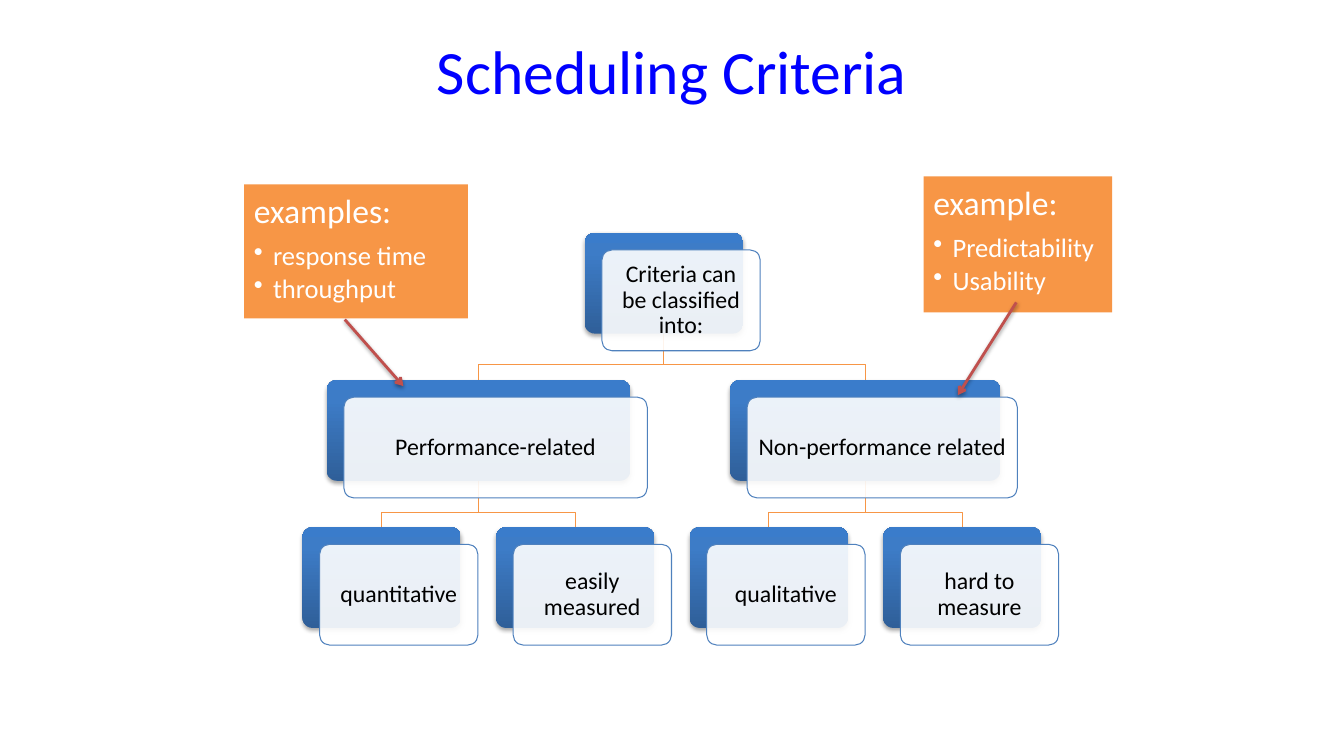
from copy import deepcopy

from lxml import etree
from pptx import Presentation
from pptx.dml.color import RGBColor
from pptx.enum import shapes, text
from pptx.oxml.ns import qn
from pptx.util import Inches, Pt

BLUE = RGBColor(0x00, 0x00, 0xFF)
BLACK = RGBColor(0x00, 0x00, 0x00)
WHITE = RGBColor(0xFF, 0xFF, 0xFF)
ORANGE = RGBColor(0xF7, 0x96, 0x46)
RED = RGBColor(0xC0, 0x50, 0x4D)
CARD_EDGE = RGBColor(0x4F, 0x81, 0xBD)
BACK_STOPS = [
    (0, RGBColor(0x2F, 0x5F, 0x99)),
    (0.8, RGBColor(0x3D, 0x7C, 0xC7)),
    (1, RGBColor(0x3A, 0x7C, 0xCB)),
]


def write(paragraph, words, size, color, align=text.PP_ALIGN.LEFT, after=0, spacing=0.9, bullet=False):
    paragraph.alignment = align
    paragraph.line_spacing = spacing
    paragraph.space_after = Pt(after)
    if bullet:
        paragraph.level = 1
        properties = paragraph._p.get_or_add_pPr()
        properties.set("marL", str(Inches(0.19)))
        properties.set("indent", str(-Inches(0.19)))
        etree.SubElement(properties, qn("a:buChar"), char="•")
    run = paragraph.add_run()
    run.text = words
    run.font.name = "Calibri"
    run.font.size = Pt(size)
    run.font.color.rgb = color


def cast_shadow(properties, distance, opacity):
    """Give a shape or connector a soft black shadow straight below it."""
    effects = properties.find(qn("a:effectLst"))
    if effects is None:
        effects = etree.SubElement(properties, qn("a:effectLst"))
    shadow = etree.SubElement(effects, qn("a:outerShdw"), blurRad=str(Pt(3.1)),
                              dist=str(Pt(distance)), dir="5400000", rotWithShape="0")
    shade = etree.SubElement(shadow, qn("a:srgbClr"), val="000000")
    etree.SubElement(shade, qn("a:alpha"), val=str(opacity * 1000))


deck = Presentation()
deck.slide_width, deck.slide_height = Inches(13.33), Inches(7.5)
slide = deck.slides.add_slide(deck.slide_layouts[5])

title = slide.shapes.title
title.left, title.top, title.width, title.height = Inches(1.83), Inches(0.23), Inches(9.67), Inches(0.93)
title.text_frame.vertical_anchor = text.MSO_ANCHOR.MIDDLE
write(title.text_frame.paragraphs[0], "Scheduling Criteria", 44, BLUE,
      align=text.PP_ALIGN.CENTER, spacing=1.0)

# Criteria tree: words, left, row, width, index of parent
CARD_WIDTH, CARD_HEIGHT, CARD_OFFSET = 1.57, 1, 0.17
TREE_TOP, ROW_PITCH = 2.31, 1.46
LEAF_LEFT, LEAF_PITCH = 3, 1.92
criteria = [
    ("Criteria can be classified into:", 5.8, 0, CARD_WIDTH, None),
    ("Performance-related", 3.24, 1, 3.01, 0),
    ("Non-performance related", 7.24, 1, 2.68, 0),
]
leaves = [("quantitative", 1), ("easily measured", 1), ("qualitative", 2), ("hard to measure", 2)]
for column, (words, parent) in enumerate(leaves):
    criteria.append((words, LEAF_LEFT + LEAF_PITCH * column, 2, CARD_WIDTH, parent))

for words, left, row, width, parent in criteria:
    if parent is None:
        continue
    _, parent_left, parent_row, parent_width, _ = criteria[parent]
    start_x = Inches(parent_left + parent_width / 2)
    start_y = Inches(TREE_TOP + ROW_PITCH * parent_row + CARD_HEIGHT)
    end_x, end_y = Inches(left + width / 2), Inches(TREE_TOP + ROW_PITCH * row)
    bend_y = start_y + Inches(0.31)
    outline = slide.shapes.build_freeform(start_x, start_y)
    outline.add_line_segments([(start_x, bend_y), (end_x, bend_y), (end_x, end_y)], close=False)
    branch = outline.convert_to_shape()
    branch.fill.background()
    branch.line.color.rgb = ORANGE
    branch.line.width = Pt(0.75)
    branch.shadow.inherit = False

for words, left, row, width, parent in criteria:
    top = TREE_TOP + ROW_PITCH * row
    back, front = [
        slide.shapes.add_shape(shapes.MSO_SHAPE.ROUNDED_RECTANGLE, Inches(left + offset),
                               Inches(top + offset), Inches(width), Inches(CARD_HEIGHT))
        for offset in (0, CARD_OFFSET)
    ]
    for card in (back, front):
        card.adjustments[0] = 0.1
        card.shadow.inherit = False

    back.line.fill.background()
    back.fill.gradient()
    back.fill.gradient_angle = 90
    stop_list = back._element.spPr.find(qn("a:gradFill")).find(qn("a:gsLst"))
    stop_list.append(deepcopy(stop_list[-1]))
    for stop, (position, color) in zip(back.fill.gradient_stops, BACK_STOPS):
        stop.position = position
        stop.color.rgb = color
    cast_shadow(back._element.spPr, distance=1.8, opacity=35)

    front.fill.solid()
    front.fill.fore_color.rgb = WHITE
    front_color = front._element.spPr.find(qn("a:solidFill"))[0]
    etree.SubElement(front_color, qn("a:alpha"), val="90000")
    front.line.color.rgb = CARD_EDGE
    front.line.width = Pt(0.75)
    frame = front.text_frame
    frame.word_wrap = True
    frame.vertical_anchor = text.MSO_ANCHOR.MIDDLE
    frame.margin_left = frame.margin_right = frame.margin_top = frame.margin_bottom = Inches(0.07)
    write(frame.paragraphs[0], words, 17, BLACK, align=text.PP_ALIGN.CENTER, after=6)

# Example notes: heading, items, box, arrow start and end
notes = [
    ("examples:", ["response time", "throughput"], (2.42, 1.83, 2.22, 1.33), (3.42, 3.17, 4, 3.83)),
    ("example:", ["Predictability", "Usability"], (9.16, 1.75, 1.87, 1.35), (10.08, 3, 9.5, 3.92)),
]
for heading, items, box, ends in notes:
    note = slide.shapes.add_shape(shapes.MSO_SHAPE.RECTANGLE, *map(Inches, box))
    note.shadow.inherit = False
    note.fill.solid()
    note.fill.fore_color.rgb = ORANGE
    note.line.fill.background()
    frame = note.text_frame
    frame.word_wrap = True
    frame.vertical_anchor = text.MSO_ANCHOR.TOP
    frame.margin_left = frame.margin_right = frame.margin_top = frame.margin_bottom = Inches(0.1)
    write(frame.paragraphs[0], heading, 24, WHITE, after=8.4)
    for item in items:
        write(frame.add_paragraph(), item, 19, WHITE, after=2.85, bullet=True)

    arrow = slide.shapes.add_connector(shapes.MSO_CONNECTOR.STRAIGHT, *map(Inches, ends))
    arrow.line.color.rgb = RED
    arrow.line.width = Pt(2)
    etree.SubElement(arrow.line._get_or_add_ln(), qn("a:tailEnd"), type="arrow")
    cast_shadow(arrow._element.spPr, distance=1.6, opacity=38)

deck.save("out.pptx")
